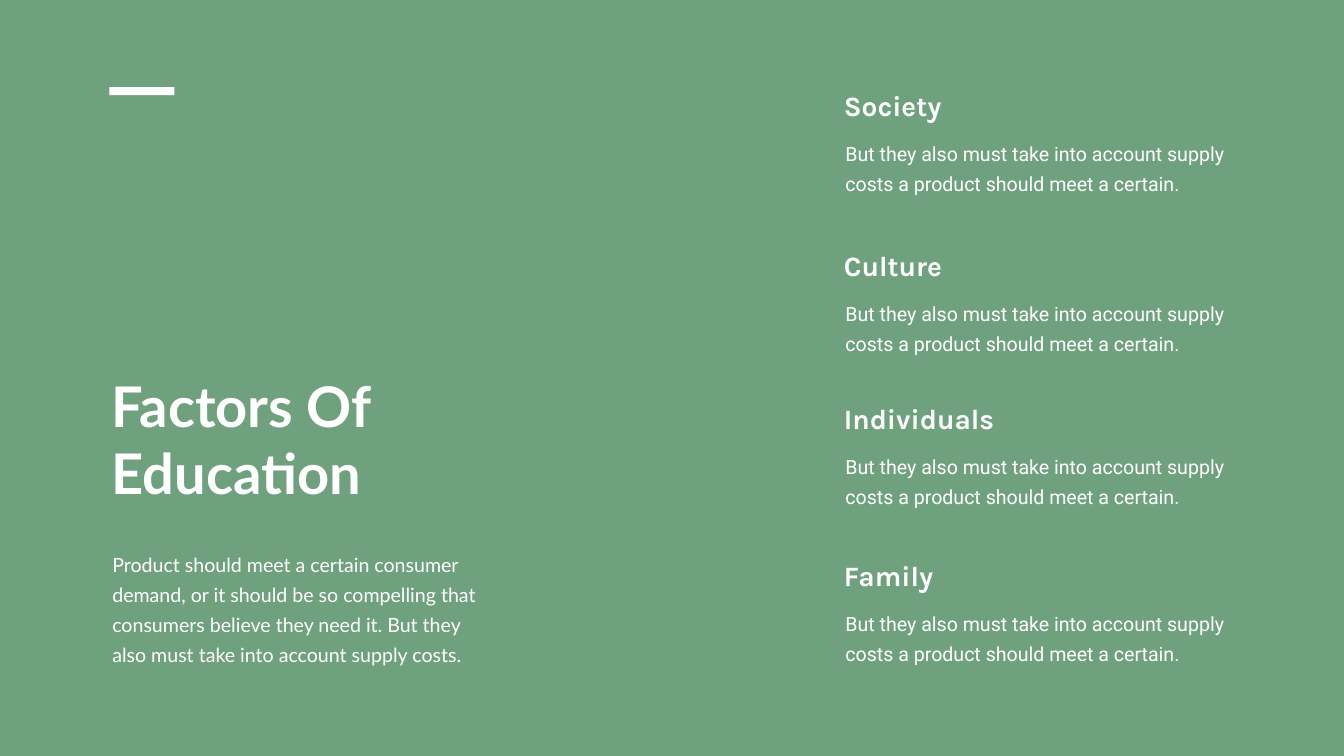
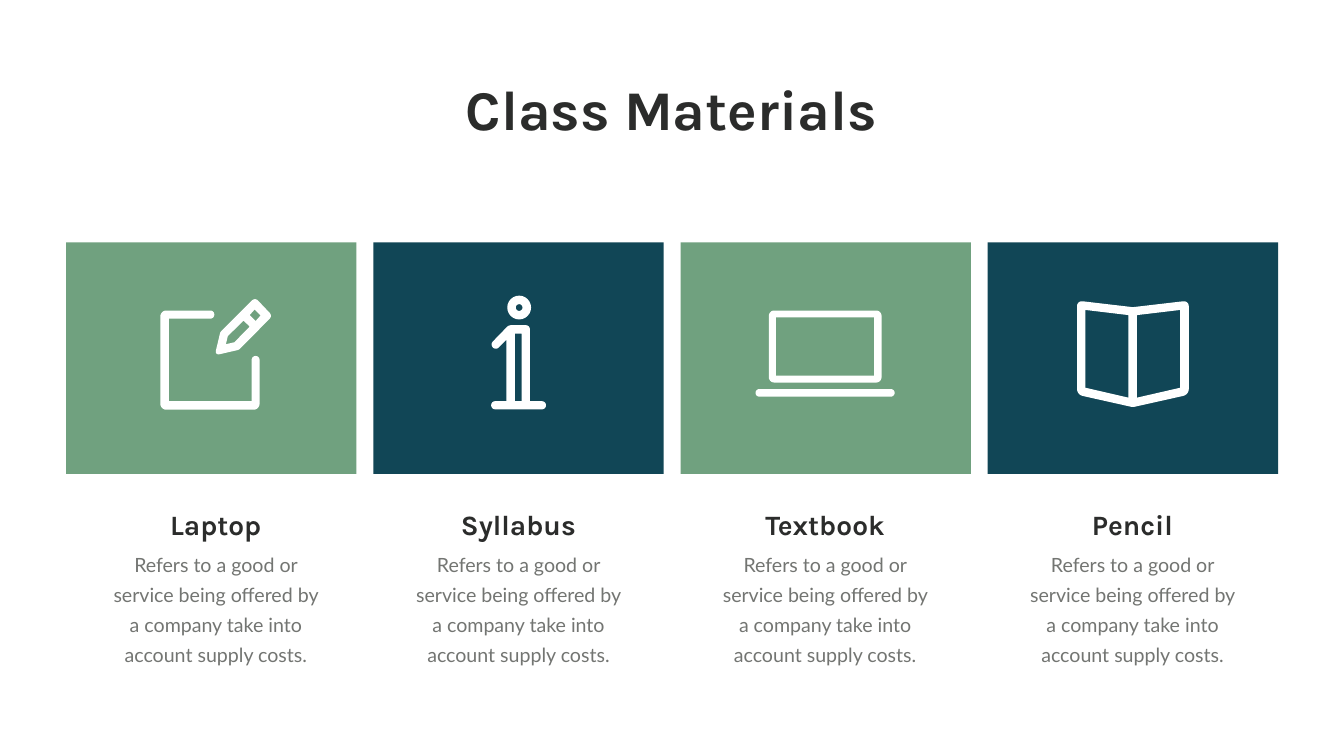
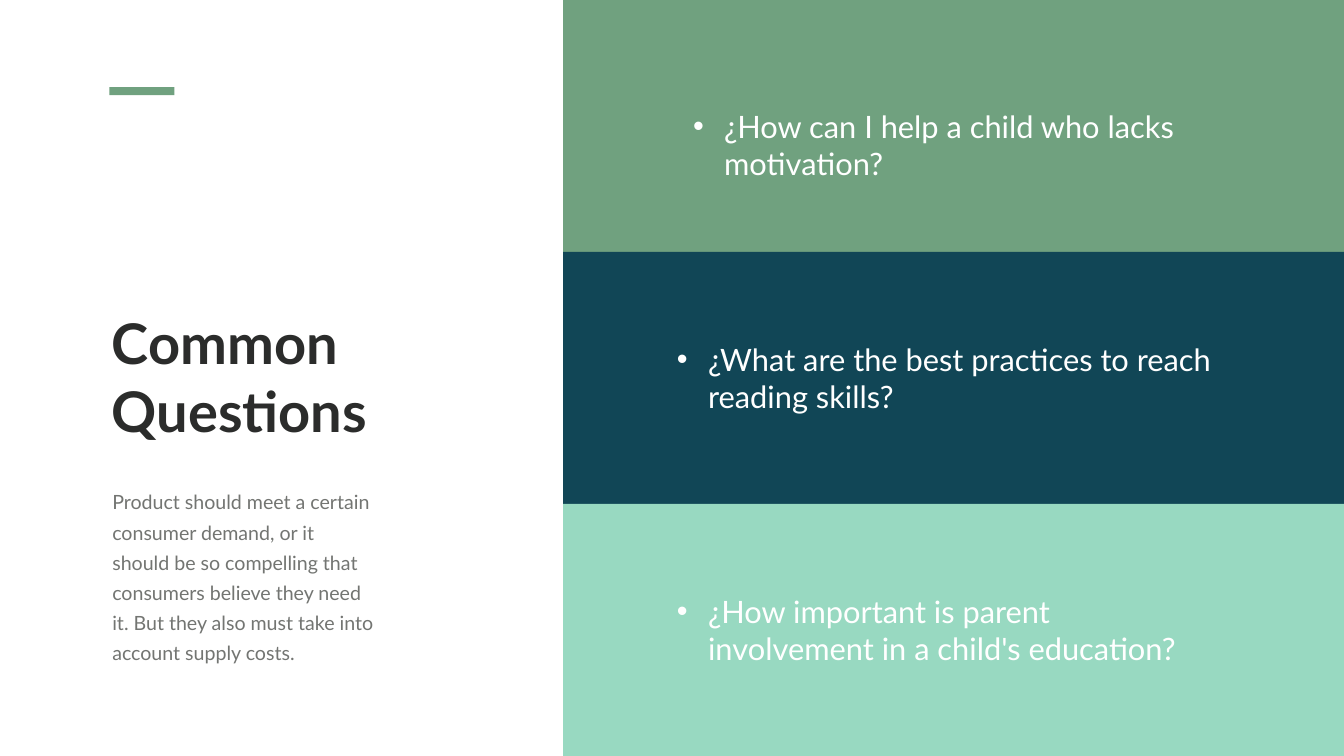
from pptx import Presentation
from pptx.dml.color import RGBColor as RGB
from pptx.enum.shapes import MSO_SHAPE as Shape
from pptx.enum.text import MSO_AUTO_SIZE as Fit, PP_ALIGN as Align
from pptx.util import Cm, Pt
from lxml.etree import SubElement

GREEN = RGB(0x70, 0xA1, 0x7F)
NAVY = RGB(0x11, 0x46, 0x56)
MINT = RGB(0x98, 0xD9, 0xC1)
WHITE = RGB(0xFF, 0xFF, 0xFF)
DARK = RGB(0x2B, 0x2C, 0x2B)
GREY = RGB(0x73, 0x75, 0x72)

WIDE, HIGH = 67.72, 38.1
NS = "{http://schemas.openxmlformats.org/drawingml/2006/main}"

# Text formats
TITLE = dict(size=80, bold=True)
HEAD = dict(size=40, bold=True, font="Karla")
BODY = dict(size=28, lead=43, pad=(0.61, 0.3))

# Content, lengths in cm
INTRO = ("Product should meet a certain consumer demand, or it should be so "
         "compelling that consumers believe they need it. But they also must "
         "take into account supply costs.")
FACTOR = ("But they also must take into account supply costs a product "
          "should meet a certain.")
FACTORS = [("Society", 4.34), ("Culture", 12.37),
           ("Individuals", 20.09), ("Family", 28.02)]
ITEM = ("Refers to a good or service being offered by a company take into "
        "account supply costs.")
ASKS = [  # question, colour, left, top, width
    ("¿How can I help a child who lacks motivation?",
     GREEN, 34.67, 5.28, 26.72),
    ("¿What are the best practices to reach reading skills?",
     NAVY, 33.86, 17.02, 27.53),
    ("¿How important is parent involvement in a child's education?",
     MINT, 33.86, 29.74, 27.53),
]


def box(left, top, wide, high, curve=0):
    """Corners of a rectangle, each with its corner radius."""
    right, low = left + wide, top + high
    return [(left, top, curve), (right, top, curve),
            (right, low, curve), (left, low, curve)]


# Icons: shapes made of contours, points are (x, y[, radius]) from the card
EDIT = [
    [[(4.75, 3.43, 0.3), (7.47, 3.43, 0.2), (7.47, 3.84, 0.2), (5.18, 3.84),
      (5.18, 8), (9.35, 8), (9.35, 5.72, 0.2), (9.75, 5.72, 0.2),
      (9.75, 8.43, 0.3), (4.75, 8.43, 0.3)]],
    [[(9.55, 3.96), (9.25, 3.66), (9.5, 3.38), (9.8, 3.68)],
     [(8.48, 5.03), (8.05, 5.13), (8.15, 4.72), (8.94, 3.94), (9.25, 4.24)],
     [(10.4, 3.7, 0.2), (9.52, 2.77, 0.21), (7.77, 4.52, 0.06),
      (7.49, 5.69, 0.25), (8.71, 5.41, 0.08)]],
]
INFO = [
    [box(7.14, 4.6, 0.34, 3.4),
     [(8.7, 8, 0.2), (7.89, 8), (7.89, 4.17, 0.2), (6.82, 4.17, 0.12),
      (5.88, 5.14, 0.2), (6.17, 5.44, 0.2), (6.71, 4.9), (6.71, 8),
      (5.94, 8, 0.2), (5.94, 8.41, 0.2), (8.7, 8.41, 0.2)]],
    [box(7.18, 3.11, 0.34, 0.34, 0.17), box(6.75, 2.68, 1.2, 1.2, 0.6)],
]
SCREEN = [
    [box(4.8, 3.78, 4.95, 2.93), box(4.45, 3.43, 5.68, 3.63, 0.27)],
    [box(3.78, 7.39, 7.01, 0.38, 0.19)],
]
BOOK = [
    [[(9.7, 3.4), (9.7, 7.32), (7.52, 7.82), (7.52, 3.66)],
     [(4.92, 3.4), (4.92, 7.32), (7.09, 7.82), (7.09, 3.66)],
     [(4.5, 2.93, 0.28), (7.31, 3.26), (10.13, 2.93, 0.28),
      (10.13, 7.67, 0.28), (7.31, 8.3, 0.1), (4.5, 7.67, 0.28)]],
]
CARDS = [  # name, colour, icon, middle of the label
    ("Laptop", GREEN, EDIT, 10.87), ("Syllabus", NAVY, INFO, 26.12),
    ("Textbook", GREEN, SCREEN, 41.57), ("Pencil", NAVY, BOOK, 57.06),
]


def write(slide, text, left, top, wide, high, size=28, font="Lato",
          color=WHITE, bold=False, align=None, lead=None, pad=(0.25, 0.13),
          bullet=False):
    frame = slide.shapes.add_textbox(
        Cm(left), Cm(top), Cm(wide), Cm(high)).text_frame
    frame.word_wrap = True
    frame.auto_size = Fit.SHAPE_TO_FIT_TEXT
    frame.margin_left = frame.margin_right = Cm(pad[0])
    frame.margin_top = frame.margin_bottom = Cm(pad[1])
    para = frame.paragraphs[0]
    if bullet:
        props = para._p.get_or_add_pPr()
        props.set("marL", str(Cm(1.57)))
        props.set("indent", str(-Cm(1.57)))
        SubElement(props, NS + "buFont", typeface="Arial")
        SubElement(props, NS + "buChar", char="•")
    if align:
        para.alignment = align
    if lead:
        para.line_spacing = Pt(lead)
    run = para.add_run()
    run.text = text
    run.font.size, run.font.name, run.font.bold = Pt(size), font, bold
    run.font.color.rgb = color


def paint(shape, color):
    shape.shadow.inherit = False
    shape.fill.solid()
    shape.fill.fore_color.rgb = color
    shape.line.fill.background()


def block(slide, color, *place):
    paint(slide.shapes.add_shape(Shape.RECTANGLE, *map(Cm, place)), color)


def bend(points, steps=6):
    """Replace each corner that has a radius by points along a curve."""
    out = []
    for i, (x, y, *curve) in enumerate(points):
        if not curve or not curve[0]:
            out.append((x, y))
            continue
        ends = []
        for px, py, *_ in (points[i - 1], points[(i + 1) % len(points)]):
            part = curve[0] / ((px - x) ** 2 + (py - y) ** 2) ** 0.5
            ends.append((x + (px - x) * part, y + (py - y) * part))
        for step in range(steps + 1):
            t = step / steps
            # Cubic curve whose handles reach 55% of the way to the corner
            a = (1 - t) ** 3 + 1.35 * t * (1 - t) ** 2
            b = t ** 3 + 1.35 * t ** 2 * (1 - t)
            c = 1 - a - b
            out.append(tuple(a * p + b * q + c * m
                             for p, q, m in zip(*ends, (x, y))))
    return out


def draw(slide, paths, left, top):
    pen = None
    for path in paths:
        first, *rest = [(Cm(left + x), Cm(top + y)) for x, y in bend(path)]
        if pen is None:
            pen = slide.shapes.build_freeform(*first)
        else:
            pen.move_to(*first)
        pen.add_line_segments(rest, close=True)
    paint(pen.convert_to_shape(), WHITE)


def intro(slide, title, top, wide, high, dash, ink, tone):
    """Dash, title and text at the left side."""
    block(slide, dash, 5.51, 4.39, 3.28, 0.41)
    write(slide, title, 5.38, top, wide + 1.13, 7.09, color=ink, **TITLE)
    write(slide, INTRO, 5.05, top + 8.64, wide, high, color=tone, **BODY)


def factors(slide):
    block(slide, GREEN, 0, 0, WIDE, HIGH)
    for name, top in FACTORS:
        write(slide, FACTOR, 41.99, top + 2.2, 20.68, 3.53,
              **{**BODY, "font": "Roboto"})
        write(slide, name, 42.27, top, 12.12, 1.96, **HEAD)
    intro(slide, "Factors Of Education", 18.57, 19.74, 6.58,
          WHITE, WHITE, WHITE)


def materials(slide):
    mid = Align.CENTER
    write(slide, "Class Materials", 20.52, 3.61, 26.64, 3.68,
          color=DARK, align=mid, **{**TITLE, "font": "Karla"})
    for i, (name, color, icon, x) in enumerate(CARDS):
        left, top = 3.33 + 15.48 * i, 12.22
        block(slide, color, left, top, 14.63, 11.66)
        for paths in icon:
            draw(slide, paths, left, top)
        write(slide, ITEM, x - 5.9, 27.23, 11.81, 6.58,
              color=GREY, align=mid, **BODY)
        write(slide, name, x - 5.04, 25.45, 10.08, 1.96,
              color=DARK, align=mid, **HEAD)


def questions(slide):
    left, high = 28.37, HIGH / len(ASKS)
    for i, (text, color, x, y, wide) in enumerate(ASKS):
        block(slide, color, left, high * i, WIDE - left, high)
        write(slide, text, x, y, wide, 4.01, size=44, bullet=True)
    intro(slide, "Common Questions", 15.44, 14.5, 9.63, GREEN, DARK, GREY)


def main():
    deck = Presentation()
    deck.slide_width, deck.slide_height = Cm(WIDE), Cm(HIGH)
    for build in (factors, materials, questions):
        build(deck.slides.add_slide(deck.slide_layouts[6]))
    deck.save("out.pptx")


if __name__ == "__main__":
    main()
